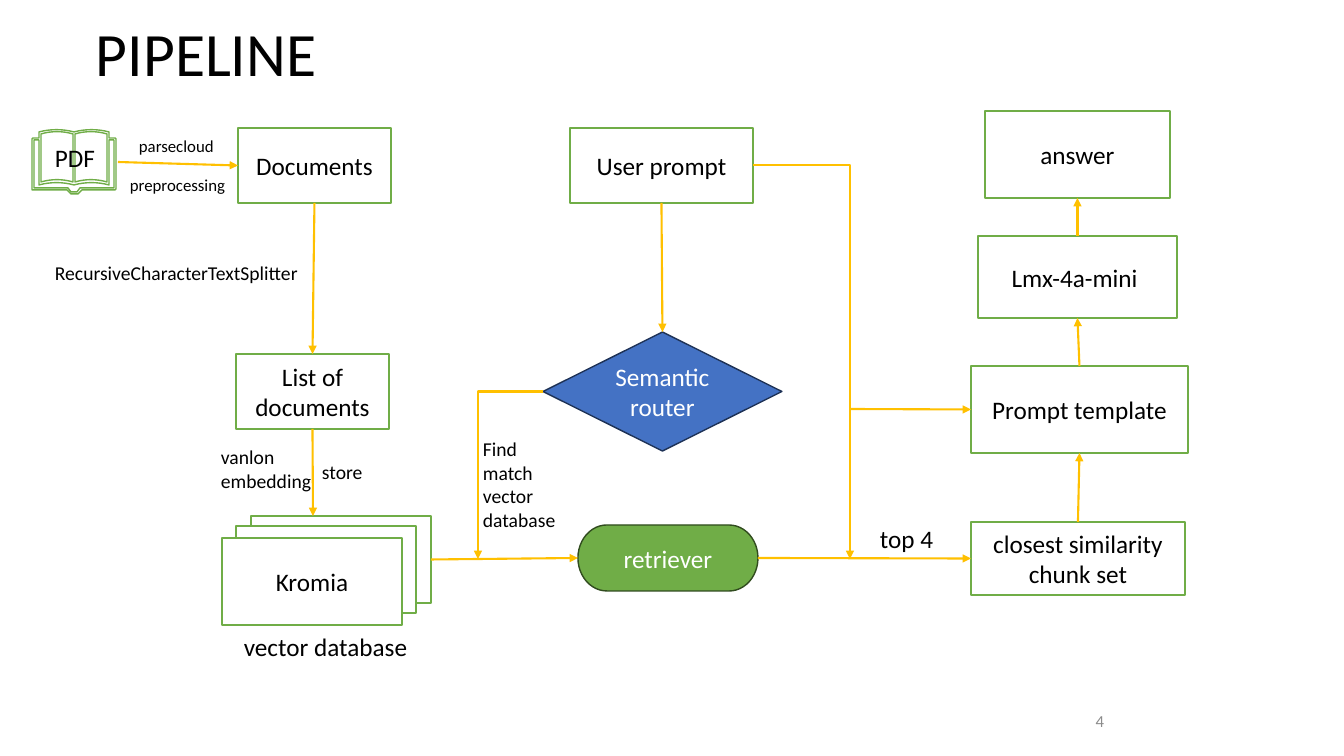
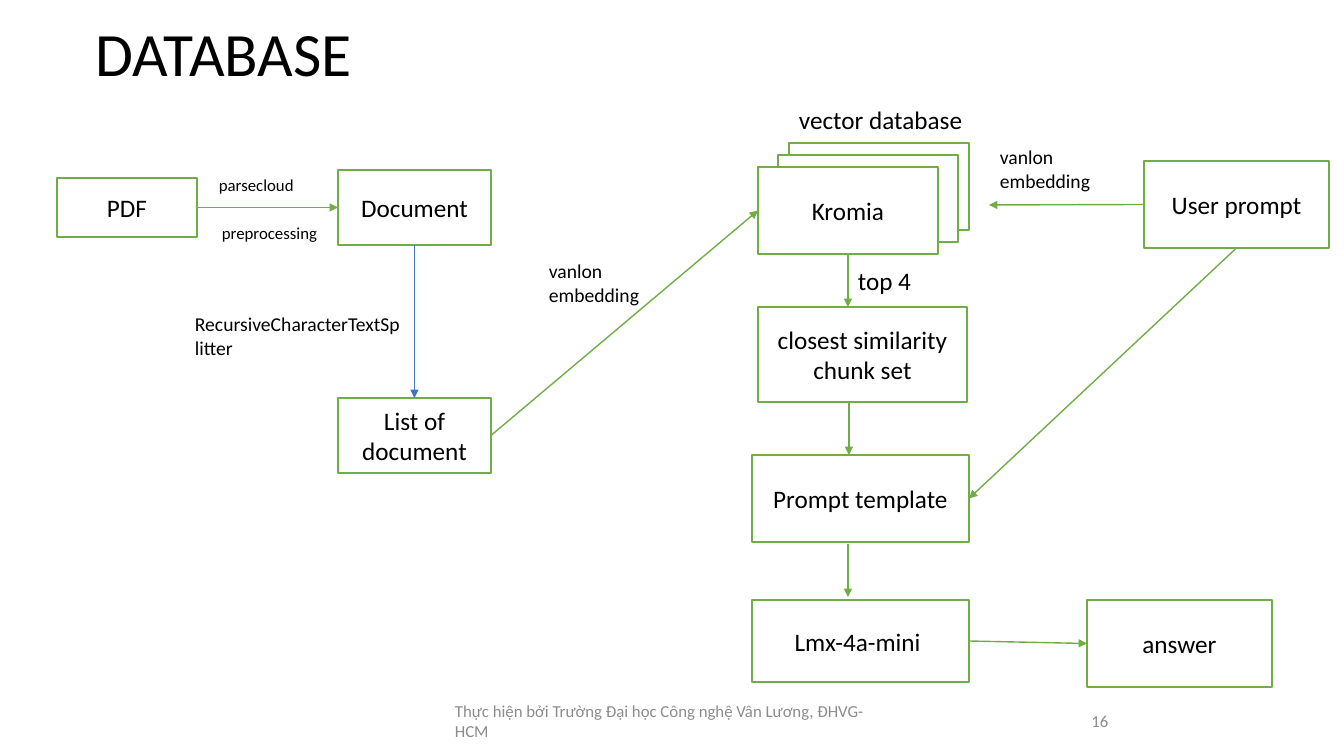
from dataclasses import dataclass
from enum import IntEnum
from typing import Optional, Union

from lxml.etree import SubElement
from pptx import Presentation
from pptx.dml.color import RGBColor
from pptx.enum.shapes import MSO_CONNECTOR, MSO_SHAPE
from pptx.enum.text import MSO_ANCHOR, PP_ALIGN
from pptx.oxml.ns import qn
from pptx.util import Emu, Pt

SLIDE_WIDTH, SLIDE_HEIGHT = 1344, 756  # px
EMU_PER_PX = 12192000 / SLIDE_WIDTH


def px(length: float) -> Emu:
    return Emu(round(length * EMU_PER_PX))


# Theme: colours, font and type sizes
@dataclass(frozen=True)
class Theme:
    font: str = "Calibri"
    ink: str = "000000"
    paper: str = "FFFFFF"
    muted: str = "8C8C8C"
    green: str = "70AD47"
    dark_green: str = "314C1F"
    blue: str = "4472C4"
    dark_blue: str = "1E3256"
    amber: str = "FFC000"
    title: int = 44
    body: int = 18
    note: int = 14
    small: int = 12
    outline: float = 1


THEME = Theme()


# Repeated elements
class Side(IntEnum):
    """Connection sites of a box, in their numbered order."""
    TOP = 0
    LEFT = 1
    BOTTOM = 2
    RIGHT = 3


@dataclass(frozen=True)
class Box:
    key: str
    left: int
    top: int
    width: int
    height: int
    text: str = ""
    preset: MSO_SHAPE = MSO_SHAPE.RECTANGLE
    fill: str = THEME.paper
    line: str = THEME.green
    ink: str = THEME.ink


@dataclass(frozen=True)
class Label:
    left: int
    top: int
    width: int
    height: int
    text: str
    size: int = THEME.note
    color: str = THEME.ink
    anchor: MSO_ANCHOR = MSO_ANCHOR.TOP
    align: PP_ALIGN = PP_ALIGN.LEFT
    spacing: float = 1.0


@dataclass(frozen=True)
class Port:
    key: str
    side: Side


@dataclass(frozen=True)
class Point:
    x: int
    y: int


@dataclass(frozen=True)
class Link:
    start: Union[Port, Point]
    end: Union[Port, Point]
    color: str = THEME.green
    width: float = 1
    bent: bool = False


@dataclass(frozen=True)
class Diagram:
    title: str
    number: int
    boxes: list
    labels: list
    links: list
    footer: Optional[str] = None
    book: bool = False


# Drawing functions
def write(shape, text: str, size: int, color: str, align: PP_ALIGN,
          anchor: MSO_ANCHOR, spacing: float = 1.0) -> None:
    frame = shape.text_frame
    frame.word_wrap = True
    frame.vertical_anchor = anchor
    para = frame.paragraphs[0]
    para.alignment = align
    para.line_spacing = spacing
    span = para.add_run()
    span.text = text
    span.font.name = THEME.font
    span.font.size = Pt(size)
    span.font.color.rgb = RGBColor.from_string(color)


def paint(shape, fill: str, line: str) -> None:
    shape.shadow.inherit = False
    shape.fill.solid()
    shape.fill.fore_color.rgb = RGBColor.from_string(fill)
    shape.line.color.rgb = RGBColor.from_string(line)
    shape.line.width = Pt(THEME.outline)


def draw_box(page, box: Box):
    shape = page.shapes.add_shape(
        box.preset, px(box.left), px(box.top), px(box.width), px(box.height))
    paint(shape, box.fill, box.line)
    if box.text:
        write(shape, box.text, THEME.body, box.ink, PP_ALIGN.CENTER, MSO_ANCHOR.MIDDLE)
    return shape


def draw_label(page, label: Label) -> None:
    shape = page.shapes.add_textbox(
        px(label.left), px(label.top), px(label.width), px(label.height))
    write(shape, label.text, label.size, label.color, label.align,
          label.anchor, label.spacing)


def draw_link(page, link: Link, shapes: dict) -> None:
    kind = MSO_CONNECTOR.ELBOW if link.bent else MSO_CONNECTOR.STRAIGHT
    first, last = (Point(0, 0) if isinstance(end, Port) else end
                   for end in (link.start, link.end))
    connector = page.shapes.add_connector(
        kind, px(first.x), px(first.y), px(last.x), px(last.y))
    if isinstance(link.start, Port):
        connector.begin_connect(shapes[link.start.key], int(link.start.side))
    if isinstance(link.end, Port):
        connector.end_connect(shapes[link.end.key], int(link.end.side))
    connector.line.color.rgb = RGBColor.from_string(link.color)
    connector.line.width = Pt(link.width)
    properties = connector._element.spPr
    if link.bent:  # a single corner
        properties.find(qn("a:prstGeom")).set("prst", "bentConnector2")
    SubElement(properties.find(qn("a:ln")), qn("a:tailEnd"), type="triangle")
    SubElement(properties, qn("a:effectLst"))


def bow(start: int, end: int, y: int, rise: float = 2.3, steps: int = 8) -> list:
    """Points of a shallow arch between two x positions."""
    ratios = [step / steps for step in range(steps + 1)]
    return [(start + (end - start) * t, y - 4 * rise * t * (1 - t)) for t in ratios]


def draw_book(page) -> None:
    cover = [(115, 138), (109, 138), *bow(109, 74, 132), *bow(74, 39, 132),
             (39, 138), (33, 138), (32, 139), (32, 190), (67, 190), (71, 194),
             (78, 194), (82, 190), (115, 190), (116, 189), (116, 139)]
    pages = [bow(left, left + 32, 134) + bow(left + 32, left, 182) for left in (41, 75)]
    rim = [(114, 188), (80, 188), (77, 192), (71, 192), (68, 188), (34, 188),
           (34, 140), (39, 140), *bow(39, 74, 185), *bow(74, 109, 185),
           (109, 140), (114, 140)]
    builder = page.shapes.build_freeform(px(cover[0][0]), px(cover[0][1]))
    for contour in (cover, *pages, rim):
        points = [(px(x), px(y)) for x, y in contour]
        if contour is not cover:
            builder.move_to(*points[0])
        builder.add_line_segments(points[1:], close=True)
    paint(builder.convert_to_shape(), THEME.paper, THEME.green)


def draw_diagram(deck, diagram: Diagram) -> None:
    page = deck.slides.add_slide(deck.slide_layouts[6])
    # Title, footer and page number
    draw_label(page, Label(86, 13, 1166, 87, diagram.title, THEME.title,
                           anchor=MSO_ANCHOR.MIDDLE, spacing=0.9))
    if diagram.footer:
        draw_label(page, Label(445, 701, 454, 40, diagram.footer, THEME.small,
                               THEME.muted, MSO_ANCHOR.MIDDLE))
    draw_label(page, Label(949, 701, 302, 40, str(diagram.number), THEME.small,
                           THEME.muted, MSO_ANCHOR.MIDDLE, PP_ALIGN.CENTER))
    # Flow chart
    shapes = {box.key: draw_box(page, box) for box in diagram.boxes}
    if diagram.book:
        draw_book(page)
    for link in diagram.links:
        draw_link(page, link, shapes)
    for label in diagram.labels:
        draw_label(page, label)


def card_stack(*corners: tuple) -> list:
    """Overlapping cards from back to front, the front one named."""
    keys = ("back card", "middle card", "store")
    texts = ("", "", "Kromia")
    return [Box(key, left, top, 180, 87, text)
            for key, (left, top), text in zip(keys, corners, texts)]


def amber(start: Union[Port, Point], end: Union[Port, Point], bent: bool = False) -> Link:
    return Link(start, end, THEME.amber, 1.5, bent)


# Wording used on both slides
CLOUD, PREPARE = "parsecloud", "preprocessing"
EMBEDDING, SPLITTER = "vanlon embedding", "RecursiveCharacterTextSplitter"
DATABASE, TOP, MODEL = "vector database", "top 4", "Lmx-4a-mini "
CLOSEST, TEMPLATE = "closest similarity chunk set", "Prompt template"

PIPELINE_SLIDE = Diagram(
    "PIPELINE", 4, book=True,
    boxes=[
        Box("documents", 238, 128, 153, 75, "Documents"),
        *card_stack((251, 516), (236, 526), (222, 538)),
        Box("user", 570, 128, 183, 75, "User prompt"),
        Box("closest", 971, 522, 214, 73, CLOSEST),
        Box("template", 971, 366, 217, 87, TEMPLATE),
        Box("model", 978, 236, 199, 82, MODEL),
        Box("answer", 985, 111, 185, 87, "answer"),
        Box("list", 236, 354, 153, 75, "List of documents"),
        Box("router", 543, 332, 239, 119, "Semantic router",
            MSO_SHAPE.FLOWCHART_DECISION, THEME.blue, THEME.dark_blue, THEME.paper),
        Box("retriever", 578, 525, 180, 66, "retriever",
            MSO_SHAPE.FLOWCHART_TERMINATOR, THEME.green, THEME.dark_green, THEME.paper),
    ],
    labels=[
        Label(45, 137, 93, 40, "PDF", THEME.body),
        Label(129, 131, 109, 30, CLOUD, THEME.small),
        Label(120, 170, 126, 30, PREPARE, THEME.small),
        Label(45, 256, 267, 34, SPLITTER),
        Label(211, 440, 118, 57, EMBEDDING),
        Label(312, 455, 69, 34, "store"),
        Label(234, 626, 214, 34, DATABASE, THEME.body),
        Label(473, 432, 97, 105, "Find match vector database"),
        Label(870, 518, 118, 40, TOP, THEME.body),
    ],
    links=[
        amber(Point(118, 162), Port("documents", Side.LEFT)),
        amber(Port("documents", Side.BOTTOM), Port("list", Side.TOP)),
        amber(Port("list", Side.BOTTOM), Point(313, 516)),
        amber(Port("back card", Side.RIGHT), Port("retriever", Side.LEFT)),
        amber(Port("user", Side.BOTTOM), Port("router", Side.TOP)),
        amber(Port("router", Side.LEFT), Point(478, 559), bent=True),
        amber(Port("user", Side.RIGHT), Point(850, 559), bent=True),
        amber(Port("retriever", Side.RIGHT), Port("closest", Side.LEFT)),
        amber(Point(850, 409), Port("template", Side.LEFT)),
        amber(Port("closest", Side.TOP), Port("template", Side.BOTTOM)),
        amber(Port("template", Side.TOP), Port("model", Side.BOTTOM)),
        amber(Port("model", Side.TOP), Port("answer", Side.BOTTOM)),
    ])

DATABASE_SLIDE = Diagram(
    "DATABASE", 16,
    footer="Thực hiện bởi Trường Đại học Công nghệ Vân Lương, ĐHVG-HCM",
    boxes=[
        Box("pdf", 57, 178, 140, 59, "PDF"),
        Box("document", 338, 170, 153, 75, "Document"),
        Box("list", 338, 398, 153, 75, "List of document"),
        *card_stack((789, 143), (778, 155), (758, 167)),
        Box("user", 1144, 161, 185, 87, "User prompt"),
        Box("closest", 758, 307, 209, 95, CLOSEST),
        Box("template", 752, 455, 217, 87, TEMPLATE),
        Box("model", 752, 600, 217, 82, MODEL),
        Box("answer", 1087, 600, 185, 87, "answer"),
    ],
    labels=[
        Label(209, 170, 109, 30, CLOUD, THEME.small),
        Label(212, 218, 126, 30, PREPARE, THEME.small),
        Label(185, 307, 228, 57, SPLITTER),
        Label(539, 254, 147, 57, EMBEDDING),
        Label(789, 99, 214, 34, DATABASE, THEME.body),
        Label(990, 140, 168, 57, EMBEDDING),
        Label(848, 260, 118, 40, TOP, THEME.body),
    ],
    links=[
        Link(Port("pdf", Side.RIGHT), Port("document", Side.LEFT)),
        Link(Port("document", Side.BOTTOM), Port("list", Side.TOP), THEME.blue, 0.5),
        Link(Port("list", Side.RIGHT), Port("store", Side.LEFT)),
        Link(Port("user", Side.LEFT), Point(989, 205)),
        Link(Port("store", Side.BOTTOM), Point(848, 307)),
        Link(Point(849, 402), Point(849, 455)),
        Link(Point(848, 544), Point(848, 597)),
        Link(Port("model", Side.RIGHT), Port("answer", Side.LEFT)),
        Link(Port("user", Side.BOTTOM), Port("template", Side.RIGHT)),
    ])


def main() -> None:
    deck = Presentation()
    deck.slide_width, deck.slide_height = px(SLIDE_WIDTH), px(SLIDE_HEIGHT)
    for diagram in (PIPELINE_SLIDE, DATABASE_SLIDE):
        draw_diagram(deck, diagram)
    deck.save("out.pptx")


if __name__ == "__main__":
    main()
